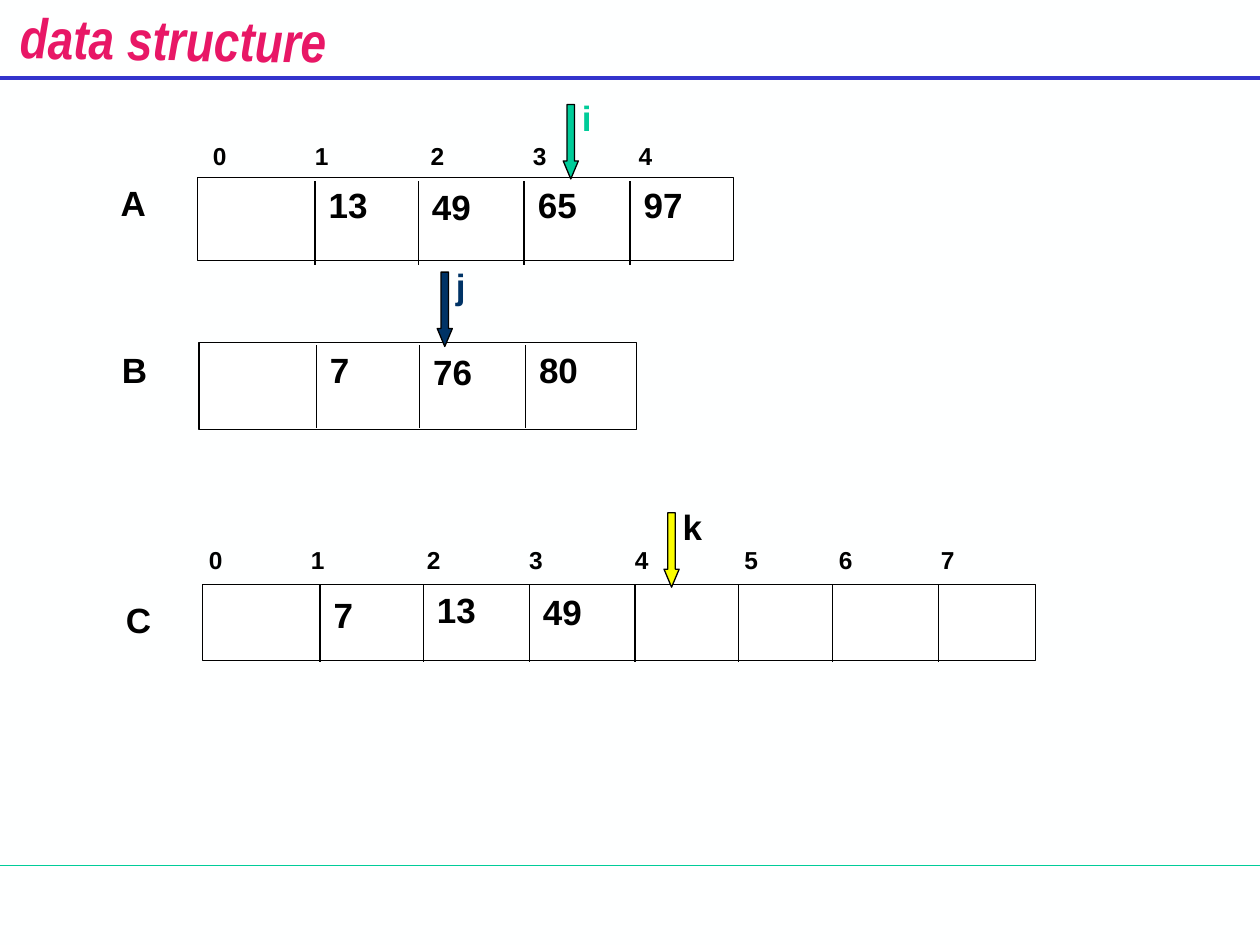
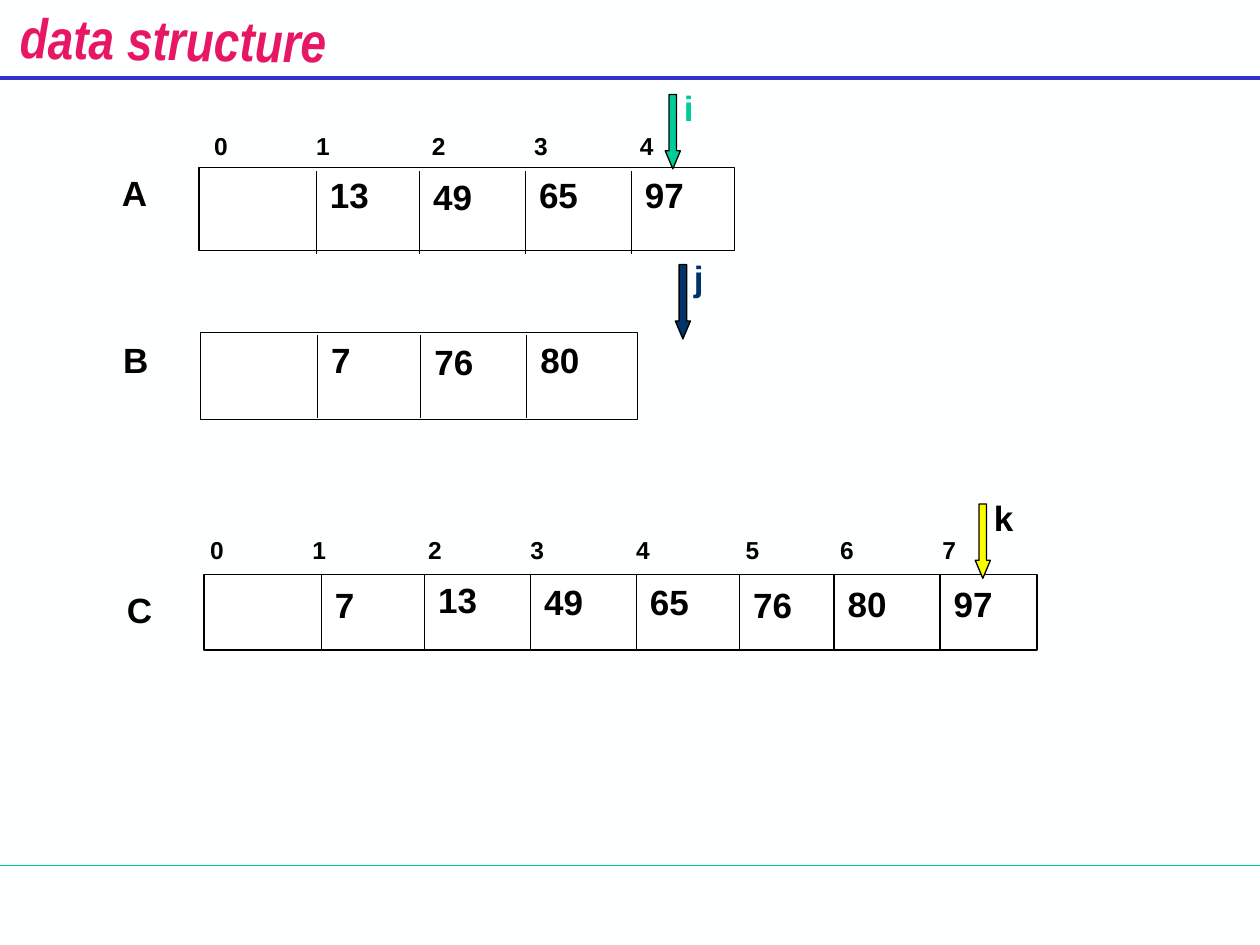
from dataclasses import dataclass

from lxml.etree import SubElement
from pptx import Presentation
from pptx.dml.color import RGBColor
from pptx.enum.shapes import MSO_CONNECTOR, MSO_SHAPE
from pptx.enum.text import MSO_AUTO_SIZE, PP_ALIGN
from pptx.oxml.ns import qn
from pptx.util import Inches, Pt

BACKGROUND = RGBColor(0xFE, 0xFF, 0xFF)
WHITE = RGBColor(0xFF, 0xFF, 0xFF)
BLACK = RGBColor(0x00, 0x00, 0x00)
PINK = RGBColor(0xE8, 0x17, 0x66)
BLUE = RGBColor(0x33, 0x33, 0xCC)
GREEN = RGBColor(0x00, 0xCC, 0x99)
NAVY = RGBColor(0x00, 0x33, 0x66)
YELLOW = RGBColor(0xFA, 0xFD, 0x00)

DIVIDERS = (0.93, 1.75, 2.59, 3.43, 4.25, 5.0, 5.84)
INDEX_TABS = (0.81, 1.73, 2.54, 3.38, 4.25, 5.0, 5.81)


@dataclass
class Array:
    name: str
    left: float
    top: float
    width: float
    height: float
    cells: int
    divider_top: float
    divider_length: float
    label_drop: float
    value_drops: tuple
    index_offset: tuple = ()


ARRAYS = (
    Array("A", 1.57, 1.41, 4.25, 0.66, 5, 0.03, 0.66, -0.02,
          (0, 0.01, 0, 0), (0.02, -0.34)),
    Array("B", 1.58, 2.72, 3.47, 0.69, 4, 0.02, 0.66, 0,
          (0, 0.01, 0)),
    Array("C", 1.61, 4.64, 6.61, 0.6, 8, 0, 0.61, 0.06,
          (0.02, -0.02, 0, 0, 0.02, 0.01, 0.01), (-0.05, -0.36)),
)
VALUES_A = (13, 49, 65, 97)
VALUES_B = (7, 76, 80)
MERGED = (7, 13, 49, 65, 76, 80, 97)
POINTERS = (("i", GREEN, GREEN), ("j", NAVY, NAVY), ("k", YELLOW, BLACK))

STEPS = (
    {"shift": (0, 0), "merged": 3,
     "pointers": ((4.47, 0.83), (3.47, 2.16), (5.27, 4.07))},
    {"shift": (0.01, -0.08), "merged": 7,
     "pointers": ((5.28, 0.75), (5.36, 2.1), (7.74, 4.0))},
)


class Deck:
    font = "Arial"
    title_font = "Arial Narrow"

    def __init__(self):
        self.presentation = Presentation()
        self.presentation.slide_width = Inches(10)
        self.presentation.slide_height = Inches(7.5)
        self.slide = None

    def new_slide(self, title):
        self.slide = self.presentation.slides.add_slide(self.presentation.slide_layouts[6])
        fill = self.slide.background.fill
        fill.solid()
        fill.fore_color.rgb = BACKGROUND
        self.line(0, 6.87, 10, 6.87, GREEN)
        self.line(0, 0.62, 10, 0.62, BLUE, 2.25)
        box = self.text(title, 0.23, -0.01, 2.29, 0.54, 32, PINK, font=self.title_font)
        box.rotation = 0.8
        box.text_frame.word_wrap = False
        box.text_frame.auto_size = MSO_AUTO_SIZE.NONE
        paragraph = box.text_frame.paragraphs[0]
        paragraph.alignment = PP_ALIGN.CENTER
        paragraph.font.italic = True

    def line(self, x1, y1, x2, y2, color=BLACK, width=0.75):
        connector = self.slide.shapes.add_connector(
            MSO_CONNECTOR.STRAIGHT, Inches(x1), Inches(y1), Inches(x2), Inches(y2))
        connector.line.color.rgb = color
        connector.line.width = Pt(width)
        SubElement(connector._element.spPr, qn("a:effectLst"))

    def text(self, content, left, top, width=0.67, height=0.43, size=20,
             color=BLACK, font=None, tabs=(), shapes=None):
        shapes = shapes or self.slide.shapes
        box = shapes.add_textbox(Inches(left), Inches(top), Inches(width), Inches(height))
        box.text_frame.word_wrap = True
        box.text_frame.auto_size = MSO_AUTO_SIZE.SHAPE_TO_FIT_TEXT
        paragraph = box.text_frame.paragraphs[0]
        paragraph.text = content
        if tabs:
            tab_list = SubElement(paragraph._p.get_or_add_pPr(), qn("a:tabLst"))
            for position in tabs:
                SubElement(tab_list, qn("a:tab"), pos=str(Inches(position)), algn="l")
        paragraph.font.name = font or self.font
        paragraph.font.size = Pt(size)
        paragraph.font.bold = True
        paragraph.font.color.rgb = color
        return box

    def shape(self, kind, left, top, width, height, fill, shapes=None):
        shapes = shapes or self.slide.shapes
        shape = shapes.add_shape(
            kind, Inches(left), Inches(top), Inches(width), Inches(height))
        shape.shadow.inherit = False
        shape.fill.solid()
        shape.fill.fore_color.rgb = fill
        shape.line.color.rgb = BLACK
        shape.line.width = Pt(0.75)
        return shape

    def array(self, array, values, shift):
        left, top = array.left + shift[0], array.top + shift[1]
        self.shape(MSO_SHAPE.RECTANGLE, left, top, array.width, array.height, WHITE)
        divider_top = top + array.divider_top
        for offset in DIVIDERS[:array.cells - 1]:
            self.line(left + offset, divider_top,
                      left + offset, divider_top + array.divider_length)
        for value, offset, drop in zip(values, DIVIDERS, array.value_drops):
            self.text(str(value), left + offset + 0.01, top + drop)
        self.text(array.name, left - 0.71, top + array.label_drop)
        if array.index_offset:
            dx, dy = array.index_offset
            indices = "\t".join(str(index) for index in range(array.cells))
            self.text(indices, left + dx, top + dy, array.width, 0.33, 14,
                      tabs=INDEX_TABS[:array.cells - 1])

    def pointer(self, name, fill, color, left, top):
        shapes = self.slide.shapes.add_group_shape().shapes
        arrow = self.shape(MSO_SHAPE.DOWN_ARROW, left, top, 0.12, 0.59, fill, shapes)
        arrow.adjustments[0] = 0.5
        arrow.adjustments[1] = 1.19
        self.text(name, left + 0.05, top - 0.11, 0.53, color=color, shapes=shapes)


def main():
    deck = Deck()
    for step in STEPS:
        deck.new_slide("data structure")
        contents = (VALUES_A, VALUES_B, MERGED[:step["merged"]])
        for array, values in zip(ARRAYS, contents):
            deck.array(array, values, step["shift"])
        for pointer, position in zip(POINTERS, step["pointers"]):
            deck.pointer(*pointer, *position)
    deck.presentation.save("out.pptx")


if __name__ == "__main__":
    main()
